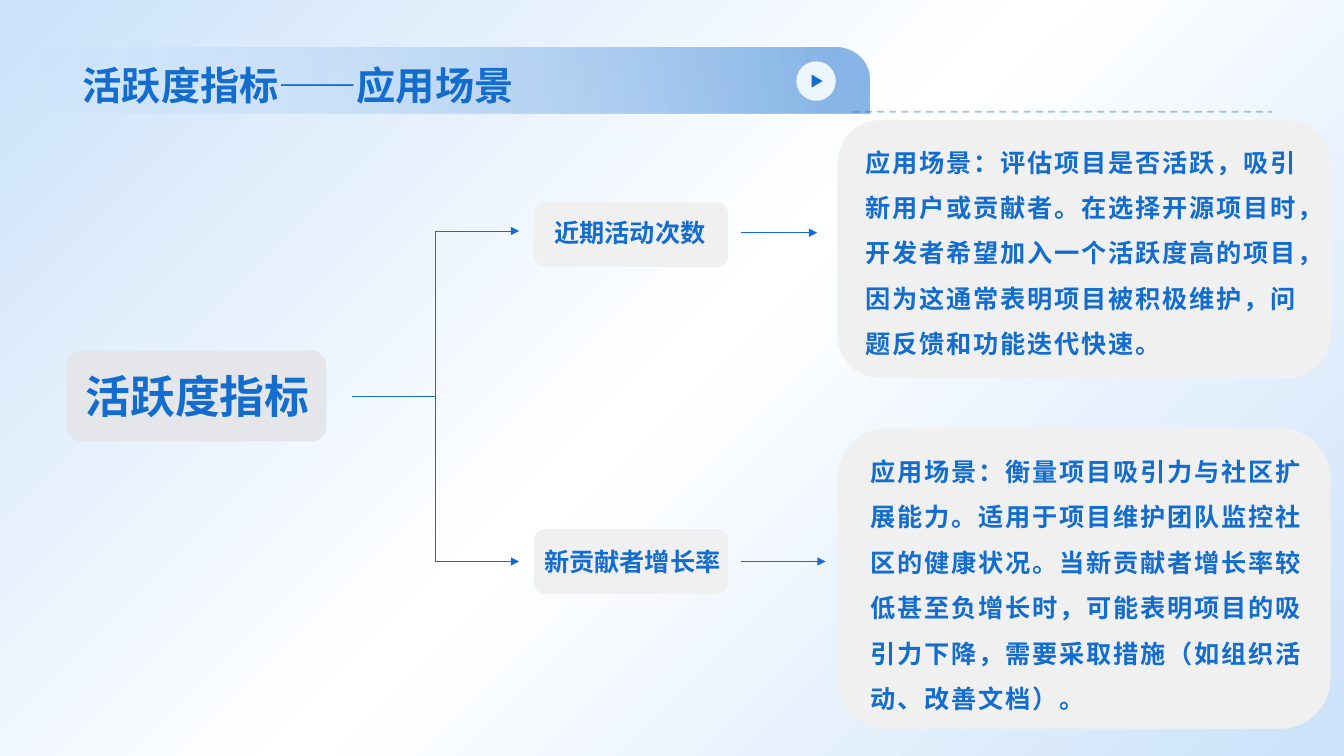
from dataclasses import dataclass

from lxml.etree import SubElement
from pptx import Presentation
from pptx.dml.color import RGBColor
from pptx.enum.dml import MSO_LINE
from pptx.enum.shapes import MSO_CONNECTOR as Link, MSO_SHAPE as Shape
from pptx.enum.text import MSO_ANCHOR, MSO_AUTO_SIZE as AutoSize, PP_ALIGN
from pptx.oxml.ns import qn
from pptx.util import Inches, Pt


@dataclass(frozen=True)
class Theme:
    font: str = "Arial"
    blue: str = "136DCF"
    sky: str = "97C4F5"
    pale: str = "CBE2FA"
    white: str = "FFFFFF"
    button: str = "EDF6FD"
    root_fill: str = "E4E6EA"
    panel: str = "F0F0F0"
    title_size: int = 28
    root_size: int = 32
    body_size: int = 18
    hairline: float = 0.5
    dash_line: float = 1.25


class SlideBuilder:
    """Places elements on a grid of 32 columns by 18 rows."""

    COLUMNS, ROWS = 32, 18

    def __init__(self, deck, theme):
        self.theme = theme
        self.slide = deck.slides.add_slide(deck.slide_layouts[5])
        self.column = deck.slide_width / self.COLUMNS
        self.row = deck.slide_height / self.ROWS

    def grid(self, *cells):
        """Turn alternating columns and rows into lengths."""
        return [round(cell * (self.row if i % 2 else self.column))
                for i, cell in enumerate(cells)]

    def gradient(self, fill, owner, stops, angle):
        fill.gradient()
        fill.gradient_angle = -angle % 360
        stop_list = next(owner.iter(qn("a:gsLst")))
        for old_stop in list(stop_list):
            stop_list.remove(old_stop)
        for position, color, opacity in stops:
            stop = SubElement(stop_list, qn("a:gs"), pos=str(position * 1000))
            tint = SubElement(stop, qn("a:srgbClr"), val=color)
            SubElement(tint, qn("a:alpha"), val=str(opacity * 1000))

    def background(self, stops, angle):
        self.gradient(self.slide.background.fill, self.slide.element, stops, angle)

    def block(self, kind, box, fill=None, stops=None, rotation=0, rounding=()):
        block = self.slide.shapes.add_shape(kind, *self.grid(*box))
        block.shadow.inherit = False
        block.line.fill.background()
        block.rotation = rotation
        for i, amount in enumerate(rounding):
            block.adjustments[i] = amount
        if stops:
            self.gradient(block.fill, block.element.spPr, stops, 0)
        else:
            block.fill.solid()
            block.fill.fore_color.rgb = RGBColor.from_string(fill)

    def set_words(self, frame, words, size, leading=None, tracking=None):
        frame.word_wrap = True
        frame.text = words
        paragraph = frame.paragraphs[0]
        paragraph.alignment = PP_ALIGN.LEFT
        if leading:
            paragraph.line_spacing = leading
        font = paragraph.font
        font.name, font.size, font.bold = self.theme.font, Pt(size), True
        font.color.rgb = RGBColor.from_string(self.theme.blue)
        if tracking:
            paragraph.runs[0].font._element.set("spc", str(round(tracking * 100)))

    def title(self, box, words):
        title = self.slide.shapes.title
        title.left, title.top, title.width, title.height = self.grid(*box)
        self.slide.shapes.element.append(title.element)  # in front of the banner
        self.set_words(title.text_frame, words, self.theme.title_size)
        title.text_frame.vertical_anchor = MSO_ANCHOR.BOTTOM
        title.text_frame.auto_size = AutoSize.NONE

    def text(self, box, words, size, **spacing):
        frame = self.slide.shapes.add_textbox(*self.grid(*box)).text_frame
        self.set_words(frame, words, size, **spacing)
        frame.auto_size = AutoSize.SHAPE_TO_FIT_TEXT

    def connector(self, start, end, kind=Link.STRAIGHT, width=None):
        link = self.slide.shapes.add_connector(kind, *self.grid(*start, *end))
        link.line.width = Pt(width or self.theme.hairline)
        link.line.color.rgb = RGBColor.from_string(self.theme.blue)
        SubElement(link.element.spPr, qn("a:effectLst"))
        return link.line

    def arrow(self, start, end, kind=Link.STRAIGHT):
        line = self.connector(start, end, kind)
        SubElement(line._get_or_add_ln(), qn("a:tailEnd"), type="triangle")

    def dashes(self, start, end, opacity):
        line = self.connector(start, end, width=self.theme.dash_line)
        line.dash_style = MSO_LINE.DASH
        tint = next(line._get_or_add_ln().iter(qn("a:srgbClr")))
        SubElement(tint, qn("a:alpha"), val=str(opacity * 1000))


@dataclass(frozen=True)
class Branch:
    label: str
    scenario: str
    node_top: float
    label_box: tuple
    fork_y: float
    arrow_y: float
    arrow_end: float
    card_top: float
    card_height: float
    scenario_box: tuple


BRANCHES = [
    Branch("近期活动次数",
           "应用场景：评估项目是否活跃，吸引新用户或贡献者。在选择开源项目时，"
           "开发者希望加入一个活跃度高的项目，因为这通常表明项目被积极维护，"
           "问题反馈和功能迭代快速。",
           4.82, (12.96, 5.06, 4.37, 0.96), 5.5, 5.54, 19.46,
           2.86, 6.14, (20.38, 3.02, 10.87, 5.57)),
    Branch("新贡献者增长率",
           "应用场景：衡量项目吸引力与社区扩展能力。适用于项目维护团队监控社区的"
           "健康状况。当新贡献者增长率较低甚至负增长时，可能表明项目的吸引力下降，"
           "需要采取措施（如组织活动、改善文档）。",
           12.6, (12.72, 12.89, 5.4, 0.96), 13.37, 13.37, 19.66,
           10.2, 7.15, (20.5, 10.39, 10.87, 6.65)),
]


def main():
    deck = Presentation()
    deck.slide_width, deck.slide_height = Inches(13.33), Inches(7.5)
    theme = Theme()
    page = SlideBuilder(deck, theme)

    # Background and title banner
    page.background([(0, theme.pale, 100), (50, theme.white, 100),
                     (100, theme.pale, 100)], 45)
    page.block(Shape.ROUND_2_DIAG_RECTANGLE, (0.96, 1.13, 19.75, 1.56),
               stops=[(0, theme.sky, 0), (96, theme.blue, 50)], rounding=(0, 0.5))
    page.block(Shape.OVAL, (18.96, 1.46, 0.94, 0.94), theme.button)
    page.block(Shape.ISOSCELES_TRIANGLE, (19.3, 1.8, 0.31, 0.26), theme.blue,
               rotation=90)
    page.dashes((20.3, 2.66), (30.29, 2.66), 40)
    page.title((1.73, 0.34, 28.51, 2.35), "活跃度指标——应用场景")

    # Root of the tree
    page.block(Shape.ROUNDED_RECTANGLE, (1.58, 8.35, 6.19, 2.16), theme.root_fill)
    page.text((1.8, 8.66, 6.58, 1.54), "活跃度指标", theme.root_size)

    # Branches: fork, node, arrow and scenario card
    for branch in BRANCHES:
        page.arrow((8.38, 9.43), (12.36, branch.fork_y), Link.ELBOW)
        page.block(Shape.ROUNDED_RECTANGLE, (12.72, branch.node_top, 4.61, 1.54),
                   theme.panel)
        page.text(branch.label_box, branch.label, theme.body_size)
        page.arrow((17.64, branch.arrow_y), (branch.arrow_end, branch.arrow_y))
        page.block(Shape.ROUNDED_RECTANGLE,
                   (19.94, branch.card_top, 11.74, branch.card_height), theme.panel)
        page.text(branch.scenario_box, branch.scenario, theme.body_size,
                  leading=1.5, tracking=1.3)

    deck.save("out.pptx")


if __name__ == "__main__":
    main()
